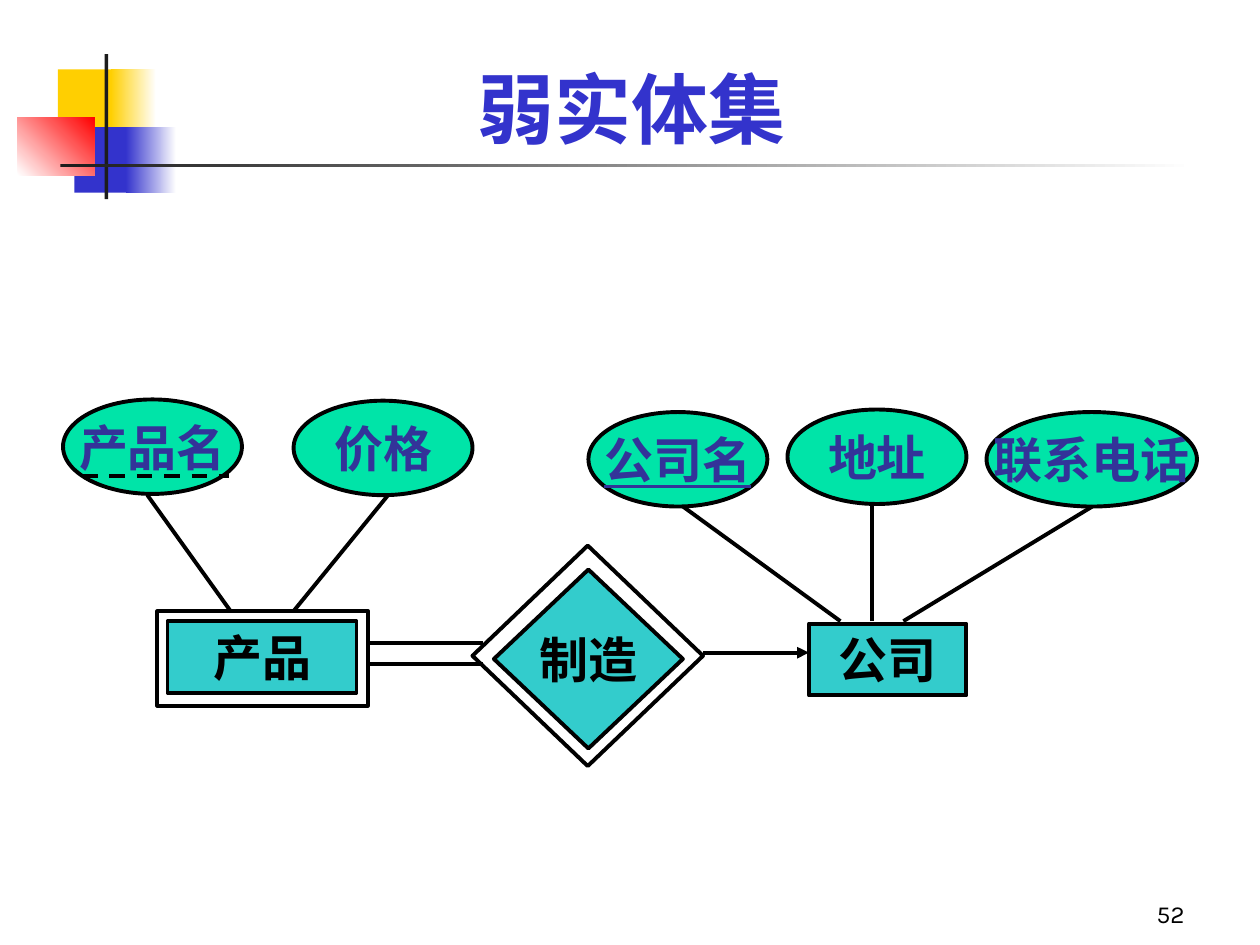
from lxml import etree
from pptx import Presentation
from pptx.dml.color import RGBColor
from pptx.enum import dml, shapes, text
from pptx.oxml.ns import qn
from pptx.util import Inches, Pt

BLACK = RGBColor(0x00, 0x00, 0x00)
WHITE = RGBColor(0xFF, 0xFF, 0xFF)
DARK = RGBColor(0x1C, 0x1C, 0x1C)
GOLD = RGBColor(0xFF, 0xCF, 0x01)
BLUE = RGBColor(0x33, 0x33, 0xCC)
RED = RGBColor(0xFF, 0x00, 0x00)
TEAL = RGBColor(0x33, 0xCC, 0xCC)
GREEN = RGBColor(0x00, 0xE4, 0xA8)
NAVY = RGBColor(0x33, 0x33, 0x99)

RECT = shapes.MSO_SHAPE.RECTANGLE
OVAL = shapes.MSO_SHAPE.OVAL
DIAMOND = shapes.MSO_SHAPE.DIAMOND

TITLE = "弱实体集"
NUMBER = "52"
DECOR = [
    ((0.46, 0.55, 0.48, 0.52), [GOLD], 0),
    ((0.88, 0.55, 0.36, 0.52), [GOLD, WHITE], 0),
    ((0.59, 1.01, 0.46, 0.52), [BLUE], 0),
    ((1, 1.01, 0.4, 0.52), [BLUE, WHITE], 0),
    ((0.14, 0.93, 0.61, 0.46), [WHITE, RED], 45),
    ((0.83, 0.43, 0.03, 1.15), [DARK], 0),
    ((0.48, 1.3, 9, 0.03), [DARK, WHITE], 0),
]
NODES = [
    (RECT, (1.33, 4.93, 1.5, 0.57), "产品"),
    (RECT, (6.42, 4.95, 1.25, 0.57), "公司"),
    (DIAMOND, (3.92, 4.52, 1.5, 1.42), "制造"),
]
FRAMES = [
    (DIAMOND, (3.75, 4.33, 1.83, 1.75)),
    (RECT, (1.25, 4.85, 1.67, 0.75)),
]
FIELDS = [
    ("产品名", 0.5, 3.17, 1.42),
    ("价格", 2.33, 3.18, 1.42),
    ("公司名", 4.67, 3.27, 1.42),
    ("地址", 6.25, 3.25, 1.42),
    ("联系电话", 7.83, 3.27, 1.67),
]
KEY = "公司名"
LINKS = [
    (1.83, 4.85, 1.17, 3.93),
    (2.33, 4.85, 3.08, 3.93),
    (6.67, 4.93, 5.42, 4.02),
    (6.92, 4.93, 6.92, 4.02),
    (7.17, 4.93, 8.67, 4.02),
    (2.92, 5.1, 3.83, 5.1),
    (2.92, 5.27, 3.83, 5.27),
]
ARROW = (5.58, 5.18, 6.42, 5.18)
PARTIAL = (0.65, 3.78, 1.82, 3.78)


def style(para, size, face, color, bold=True):
    for run in para.runs:
        font = run.font
        font.size, font.name, font.bold = Pt(size), face, bold
        font.color.rgb = color


def block(slide, kind, box, colors=(), angle=0, edge=True):
    shape = slide.shapes.add_shape(kind, *map(Inches, box))
    shape.shadow.inherit = False
    if len(colors) == 2:
        shape.fill.gradient()
        shape.fill.gradient_angle = angle
        for stop, color in zip(shape.fill.gradient_stops, colors):
            stop.color.rgb = color
    elif colors:
        shape.fill.solid()
        shape.fill.fore_color.rgb = colors[0]
    else:
        shape.fill.background()
    if edge:
        shape.line.color.rgb = BLACK
        shape.line.width = Pt(2.25)
    else:
        shape.line.fill.background()
    return shape


def label(shape, words, color, wrap=False, anchor=text.MSO_ANCHOR.MIDDLE):
    frame = shape.text_frame
    frame.text = words
    frame.word_wrap = wrap
    frame.vertical_anchor = anchor
    para = frame.paragraphs[0]
    para.alignment = text.PP_ALIGN.CENTER
    style(para, 28, "Times New Roman", color)
    return para


def link(slide, ends):
    line = slide.shapes.add_connector(
        shapes.MSO_CONNECTOR.STRAIGHT, *map(Inches, ends))
    line.line.color.rgb = BLACK
    line.line.width = Pt(2.25)
    etree.SubElement(line._element.spPr, qn("a:effectLst"))
    return line


def main():
    deck = Presentation()
    deck.slide_width, deck.slide_height = Inches(10), Inches(7.5)
    slide = deck.slides.add_slide(deck.slide_layouts[5])

    for box, colors, angle in DECOR:
        block(slide, RECT, box, colors, angle, edge=False)

    title = slide.shapes.title
    title.left, title.top, title.width, title.height = map(
        Inches, (0.75, 0.25, 8.52, 1.02))
    title.text_frame.text = TITLE
    title.text_frame.vertical_anchor = text.MSO_ANCHOR.BOTTOM
    head = title.text_frame.paragraphs[0]
    head.alignment = text.PP_ALIGN.CENTER
    style(head, 44, "Karla", BLUE)

    page = slide.shapes.add_textbox(*map(Inches, (7.42, 6.92, 2.08, 0.5)))
    page.text_frame.text = NUMBER
    page.text_frame.word_wrap = True
    page.text_frame.vertical_anchor = text.MSO_ANCHOR.BOTTOM
    para = page.text_frame.paragraphs[0]
    para.alignment = text.PP_ALIGN.RIGHT
    style(para, 14, "Karla", BLACK, bold=False)

    for kind, box, words in NODES:
        shape = block(slide, kind, box, [TEAL])
        flat = kind == RECT
        anchor = text.MSO_ANCHOR.TOP if flat else text.MSO_ANCHOR.MIDDLE
        label(shape, words, BLACK, flat, anchor)
    for kind, box in FRAMES:
        block(slide, kind, box)
    for words, left, top, width in FIELDS:
        oval = block(slide, OVAL, (left, top, width, 0.75), [GREEN])
        para = label(oval, words, NAVY)
        if words == KEY:
            para.runs[0].font.underline = True

    for ends in LINKS:
        link(slide, ends)
    arrow = link(slide, ARROW)
    etree.SubElement(arrow.line._get_or_add_ln(), qn("a:tailEnd"), type="triangle")
    link(slide, PARTIAL).line.dash_style = dml.MSO_LINE.DASH

    deck.save("out.pptx")


if __name__ == "__main__":
    main()
